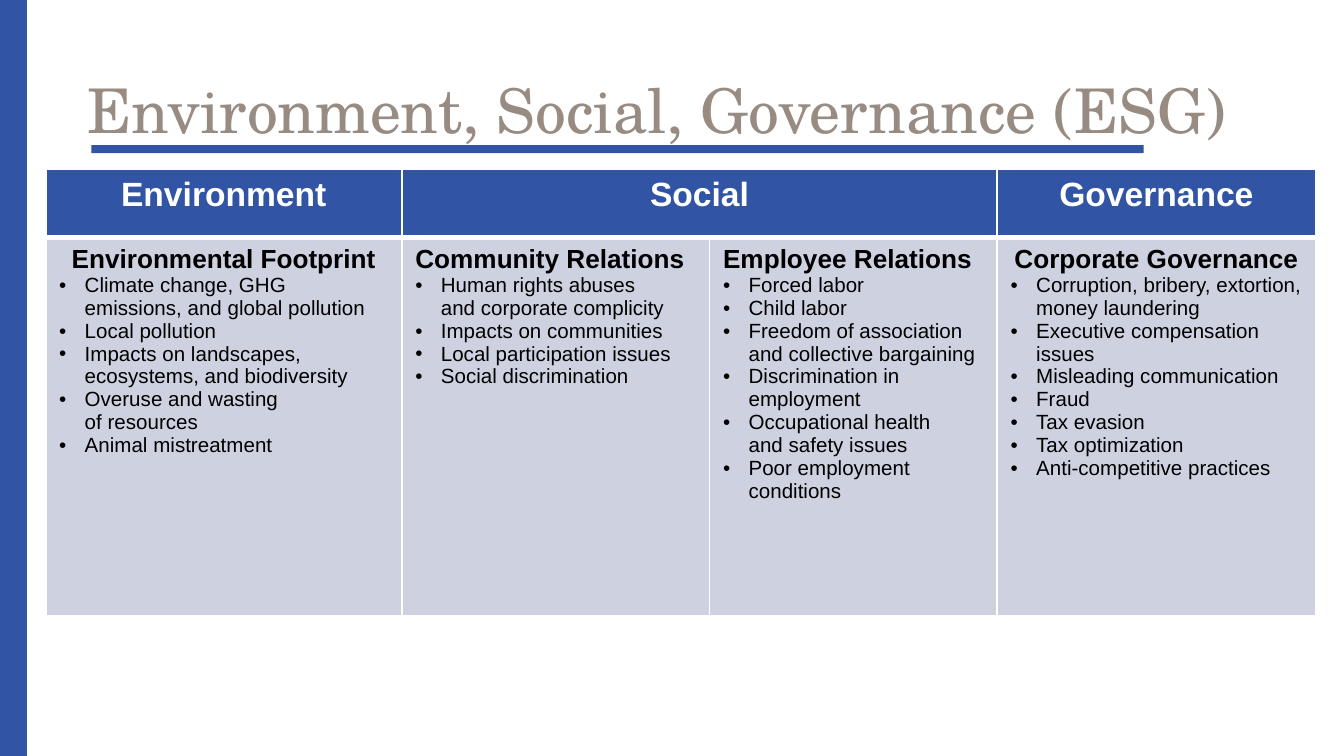
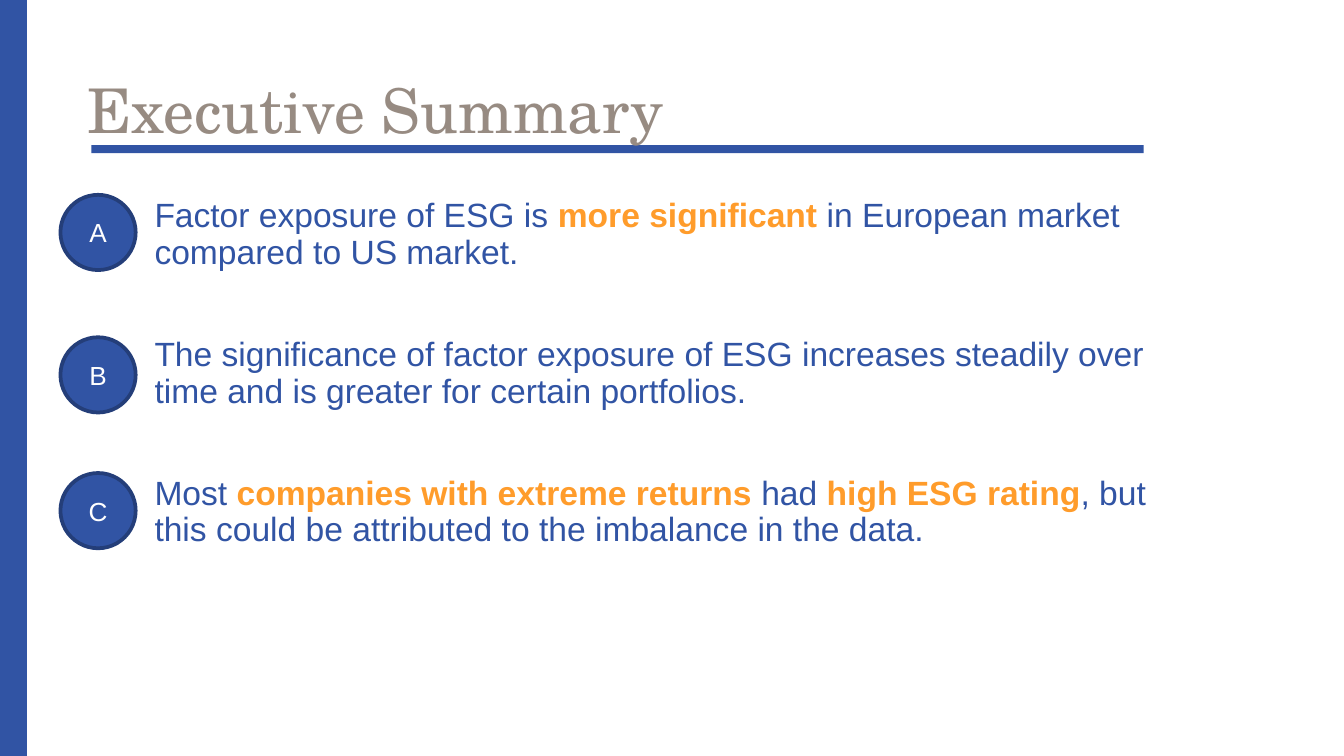
from lxml import etree
from pptx import Presentation
from pptx.dml.color import RGBColor
from pptx.enum.shapes import MSO_SHAPE
from pptx.enum.text import MSO_ANCHOR, PP_ALIGN
from pptx.oxml.ns import qn
from pptx.util import Inches, Pt

RECT, OVAL = MSO_SHAPE.RECTANGLE, MSO_SHAPE.OVAL
MIDDLE, TOP = MSO_ANCHOR.MIDDLE, MSO_ANCHOR.TOP
CENTER, LEFT = PP_ALIGN.CENTER, PP_ALIGN.LEFT
HARD_SPACE = chr(160)

COLORS = {
    "blue": "3154A4",
    "navy": "243E79",
    "taupe": "978B82",
    "orange": "FF9C2B",
    "cell": "CED1E0",
    "white": "FFFFFF",
    "black": "000000",
}
TITLE = {"name": "TeX Gyre Schola", "size": Pt(33), "color": "taupe"}
HEADER = {"name": "Arial", "size": Pt(18), "bold": True, "color": "white"}
TOPIC = {"name": "Arial", "size": Pt(14), "bold": True, "color": "black"}
ISSUE = {"name": "Arial", "size": Pt(11), "bold": False, "color": "black"}
BODY = {"name": "Arial", "size": Pt(18), "bold": False, "color": "blue"}
STRONG = {**BODY, "bold": True, "color": "orange"}
LETTER = {"name": "Arial", "size": Pt(14), "color": "white"}

ESG_TITLE = "Environment, Social, Governance (ESG)"
PILLARS = [("Environment", 1), ("Social", 2), ("Governance", 1)]
TOPICS = [
    ("Environmental Footprint", CENTER, 2.65, [
        "Climate change, GHG emissions, and~global~pollution",
        "Local pollution",
        "Impacts on landscapes, ecosystems, and~biodiversity",
        "Overuse and wasting of~resources",
        "Animal mistreatment",
    ]),
    ("Community Relations", LEFT, 2.29, [
        "Human rights abuses and~corporate~complicity",
        "Impacts on communities",
        "Local participation issues",
        "Social discrimination",
    ]),
    ("Employee Relations", LEFT, 2.14, [
        "Forced labor",
        "Child labor",
        "Freedom of association and~collective~bargaining",
        "Discrimination in employment",
        "Occupational health and~safety~issues",
        "Poor employment conditions",
    ]),
    ("Corporate Governance", CENTER, 2.37, [
        "Corruption, bribery, extortion, money~laundering",
        "Executive compensation issues",
        "Misleading communication",
        "Fraud",
        "Tax evasion",
        "Tax optimization",
        "Anti-competitive practices",
    ]),
]
ROW_HEIGHTS = [0.51, 2.81]

SUMMARY_TITLE = "Executive Summary"
FINDINGS = [
    ("A", 1.45, [
        ("Factor exposure of ESG is ", BODY),
        ("more significant", STRONG),
        (" in European market compared to US market.", BODY),
    ]),
    ("B", 2.51, [
        ("The significance~of factor exposure of ESG increases steadily "
         "over time and is greater for certain portfolios.", BODY),
    ]),
    ("C", 3.52, [
        ("Most ", BODY),
        ("companies with~extreme returns ", STRONG),
        ("had ", BODY),
        ("high ESG rating", STRONG),
        (", but this could be attributed to the imbalance in the data.", BODY),
    ]),
]


def rgb(name):
    return RGBColor.from_string(COLORS[name])


def add_run(p, text, style):
    r = p.add_run()
    r.text = text.replace("~", HARD_SPACE)
    for key, value in style.items():
        if key == "color":
            r.font.color.rgb = rgb(value)
        else:
            setattr(r.font, key, value)


def add_shape(s, kind, box, fill, line=None):
    sp = s.shapes.add_shape(kind, *map(Inches, box))
    sp.shadow.inherit = False
    sp.fill.solid()
    sp.fill.fore_color.rgb = rgb(fill)
    if line:
        sp.line.color.rgb = rgb(line)
        sp.line.width = Pt(2)
    else:
        sp.line.fill.background()
    return sp


def add_text(s, box, anchor):
    tf = s.shapes.add_textbox(*map(Inches, box)).text_frame
    tf.word_wrap = True
    tf.vertical_anchor = anchor
    for side in ("left", "top", "right", "bottom"):
        setattr(tf, f"margin_{side}", Inches(0.07))
    return tf


def add_slide(prs, title, title_width):
    s = prs.slides.add_slide(prs.slide_layouts[6])
    add_shape(s, RECT, (0.68, 1.08, 7.83, 0.06), "blue")
    bar = add_shape(s, RECT, (0, 0, 0.2, 5.62), "blue")
    bar.height = prs.slide_height
    p = add_text(s, (0.58, 0.3, title_width, 1.09), MIDDLE).paragraphs[0]
    p.line_spacing = 0.9
    add_run(p, title, TITLE)
    return s


def add_bullet(p):
    pPr = p._p.get_or_add_pPr()
    pPr.set("marL", str(Inches(0.19)))
    pPr.set("indent", str(-Inches(0.19)))
    color = etree.SubElement(pPr, qn("a:buClr"))
    etree.SubElement(color, qn("a:srgbClr"), val=COLORS["black"])
    etree.SubElement(pPr, qn("a:buFont"), typeface="Arial")
    etree.SubElement(pPr, qn("a:buChar"), char="•")


def format_cell(cell, fill, top, bottom):
    tcPr = cell._tc.get_or_add_tcPr()
    for side, width in (("L", 1), ("R", 1), ("T", top), ("B", bottom)):
        ln = etree.SubElement(tcPr, qn(f"a:ln{side}"), w=str(Pt(width)))
        solid = etree.SubElement(ln, qn("a:solidFill"))
        etree.SubElement(solid, qn("a:srgbClr"), val=COLORS["white"])
    cell.fill.solid()
    cell.fill.fore_color.rgb = rgb(fill)


def build_esg(prs):
    s = add_slide(prs, ESG_TITLE, 9.54)
    widths = [topic[2] for topic in TOPICS]
    box = (0.34, 1.26, sum(widths), sum(ROW_HEIGHTS))
    table = s.shapes.add_table(2, len(TOPICS), *map(Inches, box)).table
    for row, height in zip(table.rows, ROW_HEIGHTS):
        row.height = Inches(height)
    for column, width in zip(table.columns, widths):
        column.width = Inches(width)
    for i in range(len(TOPICS)):
        format_cell(table.cell(0, i), "blue", 1, 3)
        format_cell(table.cell(1, i), "cell", 3, 1)

    col = 0
    for name, span in PILLARS:
        cell = table.cell(0, col)
        if span > 1:
            cell.merge(table.cell(0, col + span - 1))
        p = cell.text_frame.paragraphs[0]
        p.alignment = CENTER
        add_run(p, name, HEADER)
        col += span

    for i, (topic, align, _, issues) in enumerate(TOPICS):
        tf = table.cell(1, i).text_frame
        p = tf.paragraphs[0]
        p.alignment = align
        add_run(p, topic, TOPIC)
        for issue in issues:
            p = tf.add_paragraph()
            add_bullet(p)
            add_run(p, issue, ISSUE)


def build_summary(prs):
    s = add_slide(prs, SUMMARY_TITLE, 8.62)
    tf = add_text(s, (1.08, 1.41, 7.63, 4.02), TOP)
    for i, (letter, top, runs) in enumerate(FINDINGS):
        p = tf.add_paragraph() if i else tf.paragraphs[0]
        p.line_spacing = 0.9
        if i:
            p.space_before = Pt(35.5)
        for text, style in runs:
            add_run(p, text, style)

        sp = add_shape(s, OVAL, (0.45, top, 0.56, 0.56), "blue", "navy")
        sp.text_frame.vertical_anchor = MIDDLE
        p = sp.text_frame.paragraphs[0]
        p.alignment = CENTER
        add_run(p, letter, LETTER)


def main():
    prs = Presentation()
    prs.slide_width = Inches(10)
    prs.slide_height = prs.slide_width * 9 // 16
    build_esg(prs)
    build_summary(prs)
    prs.save("out.pptx")


if __name__ == "__main__":
    main()
